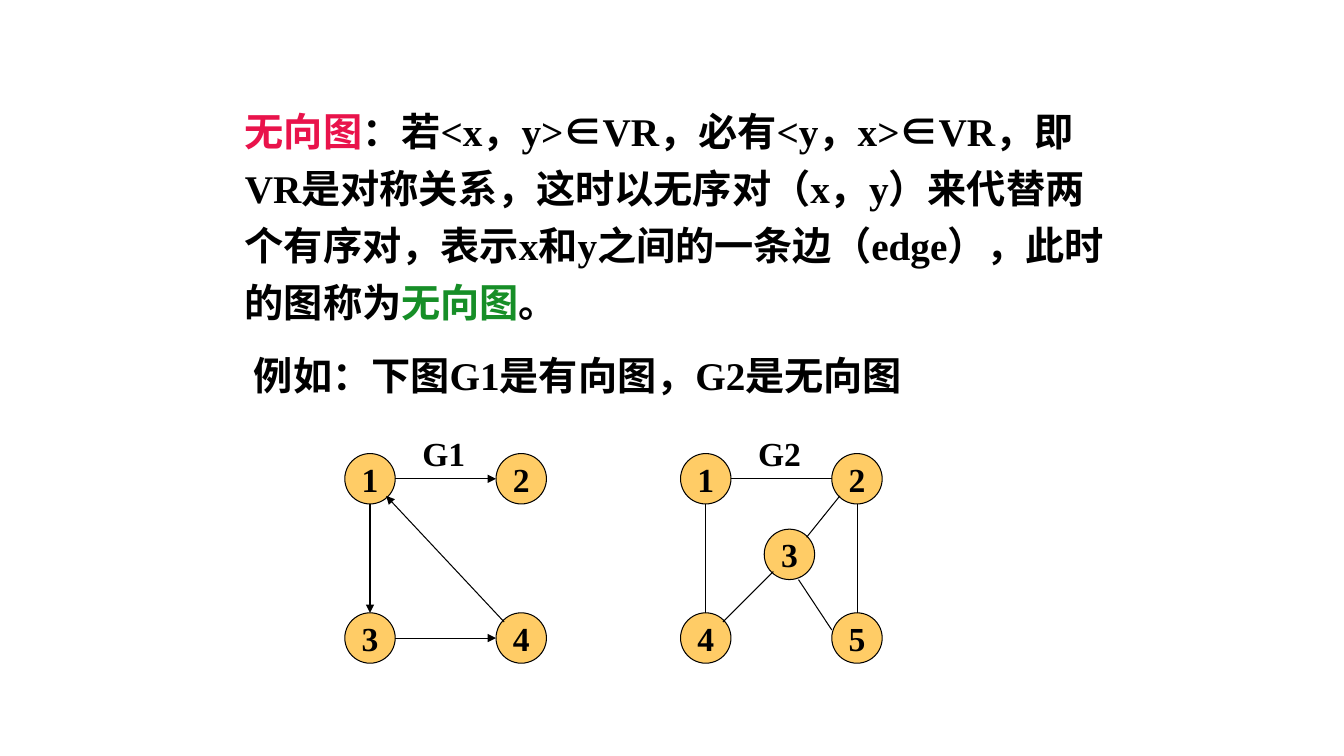
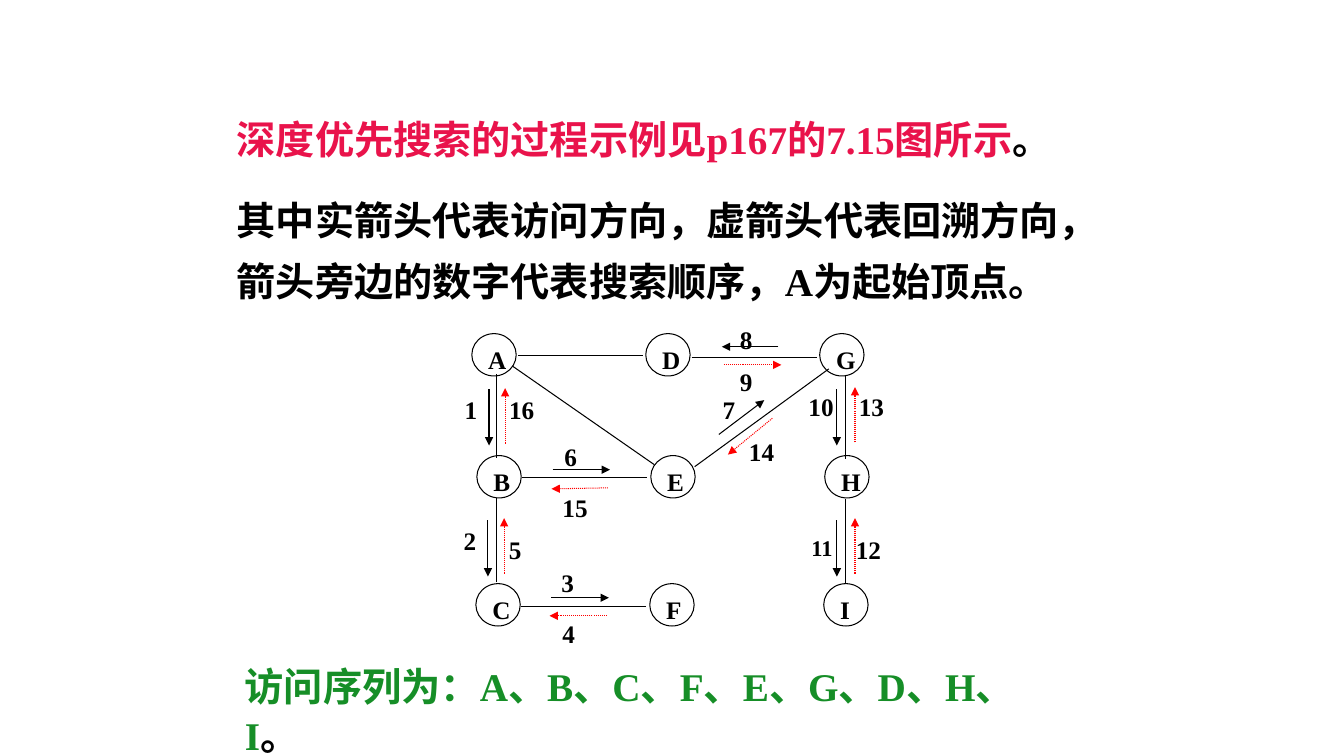
from lxml.etree import SubElement
from pptx import Presentation
from pptx.dml.color import RGBColor
from pptx.enum.dml import MSO_LINE
from pptx.enum.lang import MSO_LANGUAGE_ID as Language
from pptx.enum.shapes import MSO_CONNECTOR as Connector, MSO_SHAPE as Preset
from pptx.enum.text import MSO_ANCHOR as Anchor, PP_ALIGN as Align
from pptx.oxml.ns import qn
from pptx.util import Inches, Pt

COLORS = {
    "text": "000000",
    "accent": "E9134B",
    "answer": "168E27",
    "node": "FFCC66",
    "paper": "FFFFFF",
    "backtrack": "FF0000",
}
LATIN = "Times New Roman"
CHINESE = "Noto Sans CJK SC"
BODY_SIZE = 28
SINGLE_SPACING = 35


def rgb(name):
    return RGBColor.from_string(COLORS[name])


def add_run(paragraph, text, size=BODY_SIZE, color="text", font=LATIN):
    run = paragraph.add_run()
    run.text = text
    run.font.size = Pt(size)
    run.font.bold = True
    run.font.name = font
    run.font.color.rgb = rgb(color)
    run.font.language_id = Language.SIMPLIFIED_CHINESE
    east_asian = SubElement(run.font._element, qn("a:ea"))
    east_asian.set("typeface", CHINESE)


def add_text(slide, box, paragraphs, spacings=(SINGLE_SPACING,)):
    shape = slide.shapes.add_textbox(*map(Inches, box))
    frame = shape.text_frame
    frame.word_wrap = True
    for index, (runs, spacing) in enumerate(zip(paragraphs, spacings)):
        paragraph = frame.add_paragraph() if index else frame.paragraphs[0]
        paragraph.line_spacing = Pt(spacing)
        paragraph.space_before = Pt(BODY_SIZE / 2)
        for text, options in runs:
            add_run(paragraph, text, **options)


def add_label(slide, text, left, top, width, height=0.42, size=18, align=Align.JUSTIFY):
    shape = slide.shapes.add_textbox(*map(Inches, (left, top, width, height)))
    shape.text_frame.word_wrap = True
    paragraph = shape.text_frame.paragraphs[0]
    paragraph.alignment = align
    add_run(paragraph, text, size=size)


def add_node(slide, text, box, fill="paper", size=18, align=Align.JUSTIFY,
             anchor=Anchor.TOP, wrap=True):
    shape = slide.shapes.add_shape(Preset.OVAL, *map(Inches, box))
    shape.shadow.inherit = False
    shape.fill.solid()
    shape.fill.fore_color.rgb = rgb(fill)
    shape.line.color.rgb = rgb("text")
    shape.line.width = Pt(0.75)
    frame = shape.text_frame
    frame.word_wrap = wrap
    frame.vertical_anchor = anchor
    paragraph = frame.paragraphs[0]
    paragraph.alignment = align
    add_run(paragraph, text, size=size)


def add_edge(slide, origin, points, color="text", arrow=False, dotted=False):
    left, top = origin
    x1, y1, x2, y2 = points
    connector = slide.shapes.add_connector(
        Connector.STRAIGHT,
        Inches(left + x1), Inches(top + y1), Inches(left + x2), Inches(top + y2))
    connector.line.color.rgb = rgb(color)
    connector.line.width = Pt(0.75)
    if dotted:
        connector.line.dash_style = MSO_LINE.ROUND_DOT
    if arrow:
        tail = SubElement(connector.line._get_or_add_ln(), qn("a:tailEnd"))
        tail.set("type", "triangle")
    SubElement(connector._element.spPr, qn("a:effectLst"))


def add_small_graph(slide, origin, title, nodes, edges, arrow):
    left, top = origin
    for text, (x, y) in nodes.items():
        add_node(slide, text, (left + x, top + y, 0.5, 0.5), fill="node", size=24,
                 align=Align.CENTER, anchor=Anchor.MIDDLE, wrap=False)
    for points in edges:
        add_edge(slide, origin, points, arrow=arrow)
    add_label(slide, title, left + 0.67, top, 0.75, 0.5, size=24, align=Align.LEFT)


def add_search_graph(slide, origin):
    left, top = origin
    rows = [("ADG", 0.18, 0.31), ("BEH", 0.23, 1.52), ("CFI", 0.22, 2.79)]
    for names, x, y in rows:
        for column, name in enumerate(names):
            add_node(slide, name, (left + x + 1.725 * column, top + y, 0.44, 0.42))

    edges = [
        (0.64, 0.53, 1.88, 0.53), (2.36, 0.55, 3.6, 0.55),
        (0.68, 1.74, 1.92, 1.74), (0.67, 3.02, 1.91, 3.02),
        (0.42, 0.71, 0.42, 1.54), (3.89, 0.72, 3.89, 1.55),
        (0.42, 1.94, 0.42, 2.77), (3.89, 1.95, 3.89, 2.78),
        (2.39, 1.63, 3.72, 0.66), (0.58, 0.63, 1.99, 1.61),
    ]
    visits = [
        (0.35, 0.86, 0.35, 1.42), (0.34, 2.16, 0.34, 2.72),
        (3.8, 0.86, 3.8, 1.42), (3.8, 2.16, 3.8, 2.72),
        (0.98, 1.66, 1.55, 1.66), (0.97, 2.93, 1.54, 2.93),
        (2.63, 1.31, 3.08, 0.97), (3.22, 0.44, 2.66, 0.44),
    ]
    returns = [
        (1.53, 1.84, 0.97, 1.85), (1.52, 3.11, 0.95, 3.11),
        (3.98, 2.69, 3.98, 2.14), (3.98, 1.39, 3.98, 0.84),
        (0.5, 2.69, 0.5, 2.14), (0.51, 1.4, 0.51, 0.85),
        (2.68, 0.62, 3.25, 0.62), (3.16, 1.15, 2.72, 1.51),
    ]
    for points in edges:
        add_edge(slide, origin, points)
    for points in visits:
        add_edge(slide, origin, points, arrow=True)
    for points in returns:
        add_edge(slide, origin, points, color="backtrack", arrow=True, dotted=True)

    step_places = [
        (0.01, 0.86), (0, 2.16), (0.97, 2.58), (0.98, 3.08),
        (0.45, 2.25), (1, 1.33), (2.57, 0.86), (2.74, 0.17),
        (2.74, 0.58), (3.42, 0.83), (3.45, 2.25), (3.89, 2.25),
        (3.92, 0.83), (2.83, 1.28), (0.98, 1.83), (0.45, 0.86),
    ]
    widths = {10: 0.47, 11: 0.44}
    for step, (x, y) in enumerate(step_places, 1):
        width = widths.get(step, 0.55 if step > 9 else 0.44)
        add_label(slide, str(step), left + x, top + y, width, size=16 if step == 11 else 18)


def build_undirected_slide(slide):
    member = ("∈", {"font": CHINESE})
    definition = [
        ("无向图", {"color": "accent"}),
        ("：若<x，y>", {}), member,
        ("VR，必有<y，x>", {}), member,
        ("VR，即VR是对称关系，这时以无序对（x，y）来代替两个有序对，"
         "表示x和y之间的一条边（edge），此时的图称为", {}),
        ("无向图", {"color": "answer"}),
        ("。", {}),
    ]
    add_text(slide, (2.33, 0.92, 8.75, 2.34), [definition], (40.7,))
    add_text(slide, (2.42, 3.42, 8.75, 0.57),
             [[("例如：下图G1是有向图，G2是无向图", {})]])

    corners = [(0, 0.25), (1.5, 0.25), (0, 1.83), (1.5, 1.83)]
    shared_edges = [(0.5, 0.5, 1.5, 0.5), (0.25, 0.75, 0.25, 1.83)]
    add_small_graph(
        slide, (3.42, 4.25), "G1", dict(zip("1234", corners)),
        shared_edges + [(0.5, 2.08, 1.5, 2.08), (1.58, 1.92, 0.41, 0.67)], True)
    add_small_graph(
        slide, (6.75, 4.25), "G2", dict(zip("12453", corners + [(0.83, 1)])),
        shared_edges + [(1.75, 0.75, 1.75, 1.83), (1.17, 1.5, 1.5, 2),
                        (0.92, 1.42, 0.42, 1.92), (1.58, 0.67, 1.25, 1.08)], False)


def build_search_slide(slide):
    introduction = [
        [("深度优先搜索的过程示例见p167的7.15图所示", {"color": "accent"}), ("。", {})],
        [("其中实箭头代表访问方向，虚箭头代表回溯方向，"
          "箭头旁边的数字代表搜索顺序，A为起始顶点。", {})],
    ]
    add_text(slide, (2.25, 1.08, 9.08, 2.02), introduction, (SINGLE_SPACING, 43.7))
    add_search_graph(slide, (4.5, 3))
    sequence = [("访问序列为：A、B、C、F、E、G、D、H、I", {"color": "answer"}), ("。", {})]
    add_text(slide, (2.33, 6.5, 8.25, 0.57), [sequence])


def main():
    presentation = Presentation()
    presentation.slide_width = Inches(13.33)
    presentation.slide_height = Inches(7.5)
    for build in (build_undirected_slide, build_search_slide):
        build(presentation.slides.add_slide(presentation.slide_layouts[6]))
    presentation.save("out.pptx")


if __name__ == "__main__":
    main()
